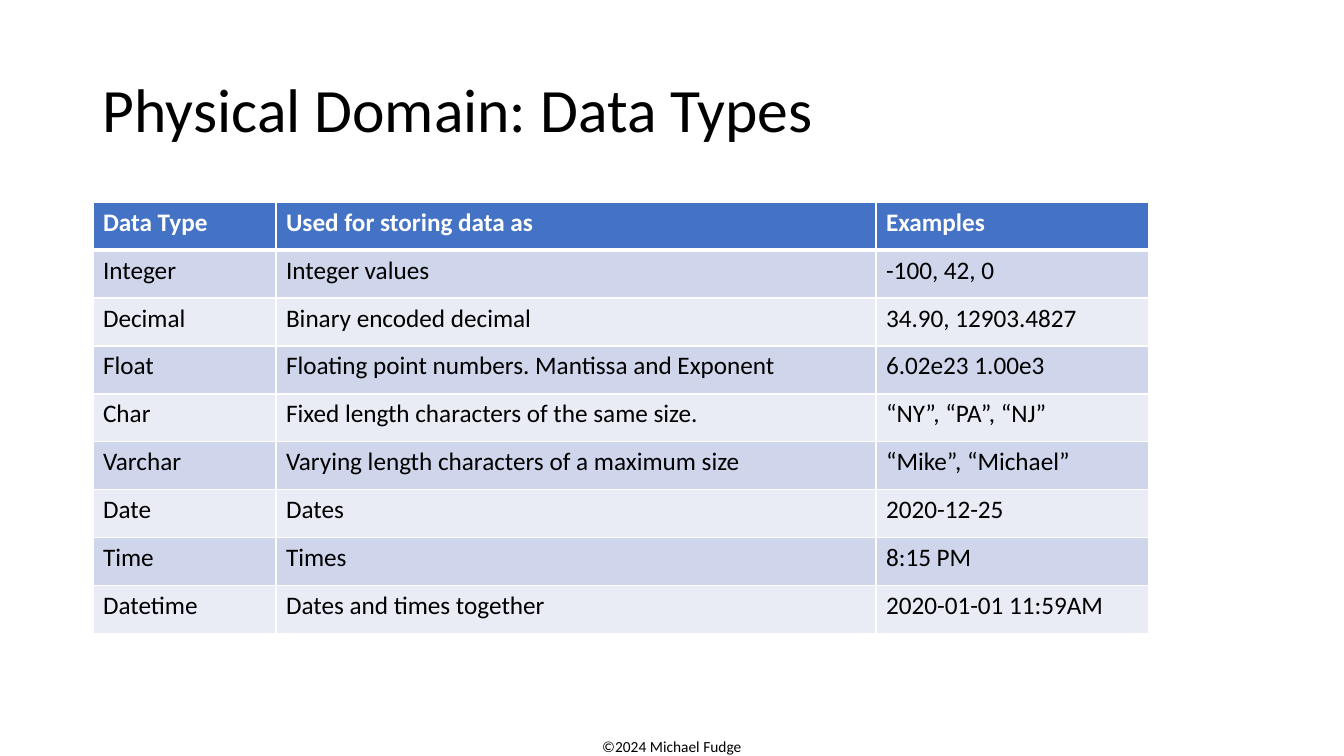
from lxml import etree
from pptx import Presentation
from pptx import util as u
from pptx.dml.color import RGBColor
from pptx.enum import text
from pptx.oxml import ns

EMU_PER_PX = 914400 / 100.8
FONT = "Calibri"
BLACK, WHITE, BLUE = "000000", "FFFFFF", "4472C4"
BANDS = ("CFD5EA", "E9EBF5")

COLUMN_WIDTHS = (183, 600, 273)
ROW_HEIGHT = 48
DATA_TYPES = (
    ("Data Type", "Used for storing data as", "Examples"),
    ("Integer", "Integer values", "-100, 42, 0"),
    ("Decimal", "Binary encoded decimal", "34.90, 12903.4827"),
    ("Float", "Floating point numbers. Mantissa and Exponent", "6.02e23 1.00e3"),
    ("Char", "Fixed length characters of the same size.", "“NY”, “PA”, “NJ”"),
    ("Varchar", "Varying length characters of a maximum size", "“Mike”, “Michael”"),
    ("Date", "Dates", "2020-12-25"),
    ("Time", "Times", "8:15 PM"),
    ("Datetime", "Dates and times together", "2020-01-01 11:59AM"),
)


def px(length):
    return u.Emu(round(length * EMU_PER_PX))


def color(code):
    return RGBColor.from_string(code)


def set_attributes(target, values):
    for name, value in values.items():
        setattr(target, name, value)


def write(frame, words, size, code=BLACK, bold=False, **para_format):
    para = frame.paragraphs[0]
    set_attributes(para, para_format)
    span = para.add_run()
    span.text = words
    set_attributes(span.font, {"name": FONT, "size": u.Pt(size), "bold": bold})
    span.font.color.rgb = color(code)


def add_text(page, bounds, words, size, frame_format, **para_format):
    box = page.shapes.add_textbox(*map(px, bounds))
    set_attributes(box.text_frame, {"word_wrap": True, **frame_format})
    write(box.text_frame, words, size, **para_format)


def add_border(cell, side, points):
    line = etree.SubElement(cell._tc.get_or_add_tcPr(), ns.qn(f"a:ln{side}"),
                            w=str(u.Pt(points)))
    fill = etree.SubElement(line, ns.qn("a:solidFill"))
    etree.SubElement(fill, ns.qn("a:srgbClr"), val=WHITE)


def fill_cell(cell, words, row):
    header = row == 0
    # Borders come before the fill in the cell properties
    thick_side = {0: "B", 1: "T"}.get(row)
    for side in "LRTB":
        add_border(cell, side, 3 if side == thick_side else 1)
    cell.fill.solid()
    cell.fill.fore_color.rgb = color(BLUE if header else BANDS[(row - 1) % 2])
    write(cell.text_frame, words, 18, WHITE if header else BLACK, header)


def add_data_table(page, left, top, rows):
    frame = page.shapes.add_table(
        len(rows), len(COLUMN_WIDTHS), px(left), px(top),
        px(sum(COLUMN_WIDTHS)), px(ROW_HEIGHT * len(rows)))
    table = frame.table
    for column, width in zip(table.columns, COLUMN_WIDTHS):
        column.width = px(width)
    for row, entries in enumerate(rows):
        table.rows[row].height = px(ROW_HEIGHT)
        for column, words in enumerate(entries):
            fill_cell(table.cell(row, column), words, row)


def main():
    deck = Presentation()
    set_attributes(deck, {"slide_width": px(1344), "slide_height": px(756)})
    page = deck.slides.add_slide(deck.slide_layouts[6])

    # Footer
    add_text(page, (572, 732, 200, 29), "©2024 Michael Fudge", 11,
             {"auto_size": text.MSO_AUTO_SIZE.SHAPE_TO_FIT_TEXT},
             alignment=text.PP_ALIGN.CENTER)

    # Title
    add_text(page, (93, 40, 1159, 146), "Physical Domain: Data Types", 44,
             {"vertical_anchor": text.MSO_ANCHOR.MIDDLE}, line_spacing=0.9)

    # Table of data types
    add_data_table(page, 93, 202, DATA_TYPES)

    deck.save("out.pptx")


if __name__ == "__main__":
    main()
